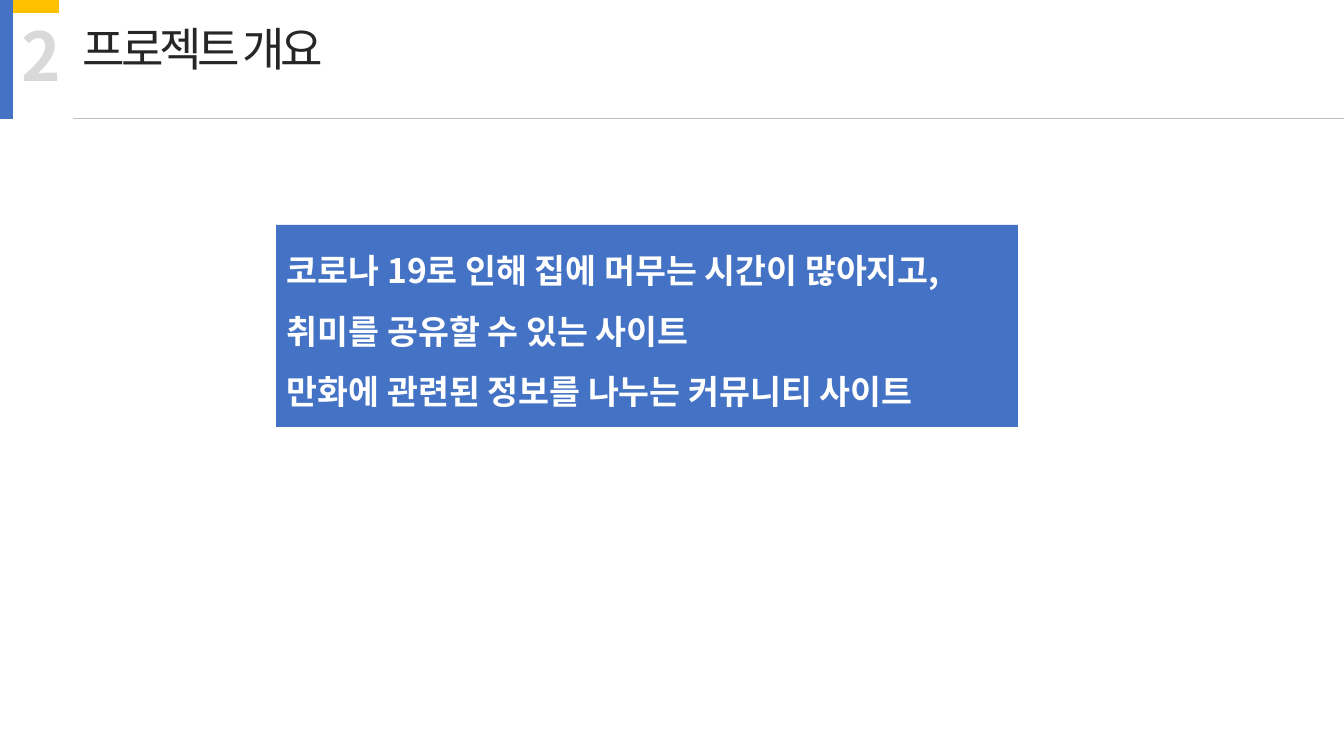
"""Build the project overview slide."""
import pptx
import pptx.util
import pptx.dml.color
import pptx.enum.shapes
import pptx.enum.text
import lxml.etree

PX = 914400 / 100.8
FONT = "Noto Sans CJK KR"
RGB = pptx.dml.color.RGBColor
BLUE = RGB(0x44, 0x72, 0xC4)
YELLOW = RGB(0xFF, 0xC0, 0x00)
WHITE = RGB(0xFF, 0xFF, 0xFF)
DARK = RGB(0x26, 0x26, 0x26)
PALE = RGB(0xD9, 0xD9, 0xD9)
RULE = RGB(0xBF, 0xBF, 0xBF)


def px(*lengths):
    return [pptx.util.Emu(round(n * PX)) for n in lengths]


def add_text(s, box, lines, size, color, bold=False, wrap=False, spacing=0):
    tf = s.shapes.add_textbox(*px(*box)).text_frame
    tf.word_wrap = wrap
    tf.text = "\n".join(lines)
    for p in tf.paragraphs:
        r = p.runs[0]
        r.font.name = FONT
        r.font.size = pptx.util.Pt(size)
        r.font.bold = bold
        r.font.color.rgb = color
        rPr = r.font._element
        lxml.etree.SubElement(rPr, pptx.oxml.ns.qn("a:ea"), typeface=FONT)
        if spacing:
            rPr.set("spc", str(spacing * 100))
    return tf


prs = pptx.Presentation()
prs.slide_width, prs.slide_height = px(1344, 756)
s = prs.slides.add_slide(prs.slide_layouts[6])

for box, color in [
    ((276, 225, 742, 202), BLUE),
    ((0, 0, 13, 119), BLUE),
    ((13, 0, 46, 13), YELLOW),
]:
    sp = s.shapes.add_shape(pptx.enum.shapes.MSO_SHAPE.RECTANGLE, *px(*box))
    sp.shadow.inherit = False
    sp.fill.solid()
    sp.fill.fore_color.rgb = color
    sp.line.fill.background()

overview = [
    "코로나 19로 인해 집에 머무는 시간이 많아지고,",
    "취미를 공유할 수 있는 사이트",
    "만화에 관련된 정보를 나누는 커뮤니티 사이트",
]
tf = add_text(s, (277, 225, 741, 185), overview, 24, WHITE, bold=True, wrap=True)
for p in tf.paragraphs:
    p.alignment = pptx.enum.text.PP_ALIGN.JUSTIFY
    p.line_spacing = 1.5

add_text(s, (73, 15, 283, 67), ["프로젝트 개요"], 33, DARK, spacing=-3)
add_text(s, (12, 9, 59, 92), ["2"], 48, PALE, bold=True)

rule = s.shapes.add_connector(
    pptx.enum.shapes.MSO_CONNECTOR.STRAIGHT, *px(73, 118, 1344, 118))
rule.line.color.rgb = RULE
rule.line.width = pptx.util.Pt(0.5)
lxml.etree.SubElement(rule._element.spPr, pptx.oxml.ns.qn("a:effectLst"))

prs.save("out.pptx")
